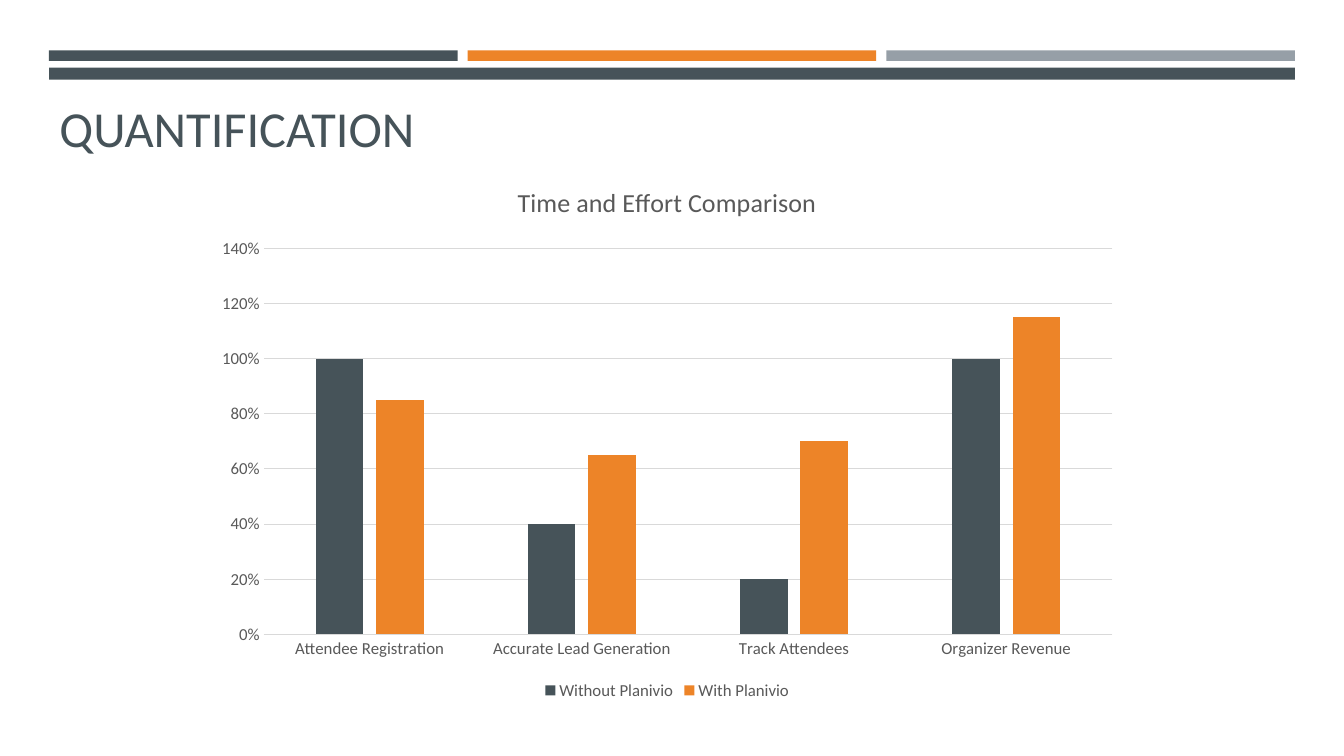
from lxml import etree
from pptx import Presentation
from pptx.chart.data import CategoryChartData
from pptx.dml.color import RGBColor
from pptx.enum.chart import XL_CHART_TYPE, XL_LEGEND_POSITION, XL_TICK_MARK
from pptx.enum.shapes import MSO_SHAPE
from pptx.enum.text import MSO_ANCHOR, PP_ALIGN
from pptx.util import Pt

COLUMNS = XL_CHART_TYPE.COLUMN_CLUSTERED
BOTTOM = XL_LEGEND_POSITION.BOTTOM
NO_TICK = XL_TICK_MARK.NONE
RECT = MSO_SHAPE.RECTANGLE
LEFT = PP_ALIGN.LEFT
ANCHOR_BOTTOM = MSO_ANCHOR.BOTTOM

SLATE = RGBColor(0x46, 0x53, 0x59)
ORANGE = RGBColor(0xED, 0x84, 0x28)
GREY = RGBColor(0x96, 0x9F, 0xA7)
TEXT_GREY = RGBColor(0x59, 0x59, 0x59)
GRID_GREY = RGBColor(0xD9, 0xD9, 0xD9)
FONT = "Calibri"

CATEGORIES = ["Attendee Registration", "Accurate Lead Generation",
              "Track Attendees", "Organizer Revenue"]
SERIES = [("Without Planivio", (1, 0.4, 0.2, 1), SLATE),
          ("With Planivio", (0.85, 0.65, 0.7, 1.15), ORANGE)]


def format_font(font, size=12, color=TEXT_GREY):
    font.name = FONT
    font.size = Pt(size)
    font.bold = False
    font.color.rgb = color


def write_text(tf, text, size=12, color=TEXT_GREY, align=None):
    p = tf.paragraphs[0]
    p.alignment = align
    r = p.add_run()
    r.text = text
    format_font(r.font, size, color)


def add_bar(s, left, top, width, height, color):
    bar = s.shapes.add_shape(RECT, Pt(left), Pt(top), Pt(width), Pt(height))
    bar.shadow.inherit = False
    bar.fill.solid()
    bar.fill.fore_color.rgb = color
    bar.line.fill.background()


def add_header_bars(s, left, top, width):
    """Three short bars side by side above one full-width bar."""
    gap = 7.2
    bar_width = (width - 2 * gap) / 3
    for i, color in enumerate((SLATE, ORANGE, GREY)):
        add_bar(s, left + i * (bar_width + gap), top, bar_width, 7.6, color)
    add_bar(s, left, top + 12.4, width, 8.6, SLATE)


def add_title(s, left, top, width, height):
    title = s.shapes.title
    title.left, title.top = Pt(left), Pt(top)
    title.width, title.height = Pt(width), Pt(height)
    tf = title.text_frame
    tf.word_wrap = True
    tf.vertical_anchor = ANCHOR_BOTTOM
    write_text(tf, "QUANTIFICATION", size=36, color=SLATE, align=LEFT)


def format_line(line):
    line.color.rgb = GRID_GREY
    line.width = Pt(0.75)


def add_comparison_chart(s, left, top, width, height):
    data = CategoryChartData(number_format="0%")
    data.categories = CATEGORIES
    for name, values, _ in SERIES:
        data.add_series(name, values)
    chart = s.shapes.add_chart(COLUMNS, Pt(left), Pt(top), Pt(width),
                               Pt(height), data).chart
    format_font(chart.font)

    chart.has_title = True
    write_text(chart.chart_title.text_frame, "Time and Effort Comparison",
               size=18.6)
    chart.chart_title.include_in_layout = False

    chart.has_legend = True
    chart.legend.position = BOTTOM
    chart.legend.include_in_layout = False
    format_font(chart.legend.font)

    plot = chart.plots[0]
    plot.gap_width = 219
    plot.overlap = -27
    plot.vary_by_categories = False
    for series, (_, _, color) in zip(plot.series, SERIES):
        series.format.fill.solid()
        series.format.fill.fore_color.rgb = color

    for axis in (chart.category_axis, chart.value_axis):
        axis.major_tick_mark = axis.minor_tick_mark = NO_TICK
        format_font(axis.tick_labels.font)
    format_line(chart.category_axis.format.line)

    value_axis = chart.value_axis
    value_axis.minimum_scale, value_axis.maximum_scale = 0, 1.4
    value_axis.major_unit = 0.2
    value_axis.format.line.fill.background()
    value_axis.tick_labels.number_format = "0%"
    value_axis.tick_labels.number_format_is_linked = False
    value_axis.has_major_gridlines = True
    format_line(value_axis.major_gridlines.format.line)


def build_slide(prs):
    s = prs.slides.add_slide(prs.slide_layouts[5])
    add_header_bars(s, 35, 36, 890)
    add_title(s, 35.3, 3.6, 865.4, 112.3)
    add_comparison_chart(s, 145.4, 116.6, 662.4, 386.6)


def main():
    prs = Presentation()
    prs.slide_width, prs.slide_height = Pt(960), Pt(540)
    build_slide(prs)
    prs.save("out.pptx")


if __name__ == "__main__":
    main()
